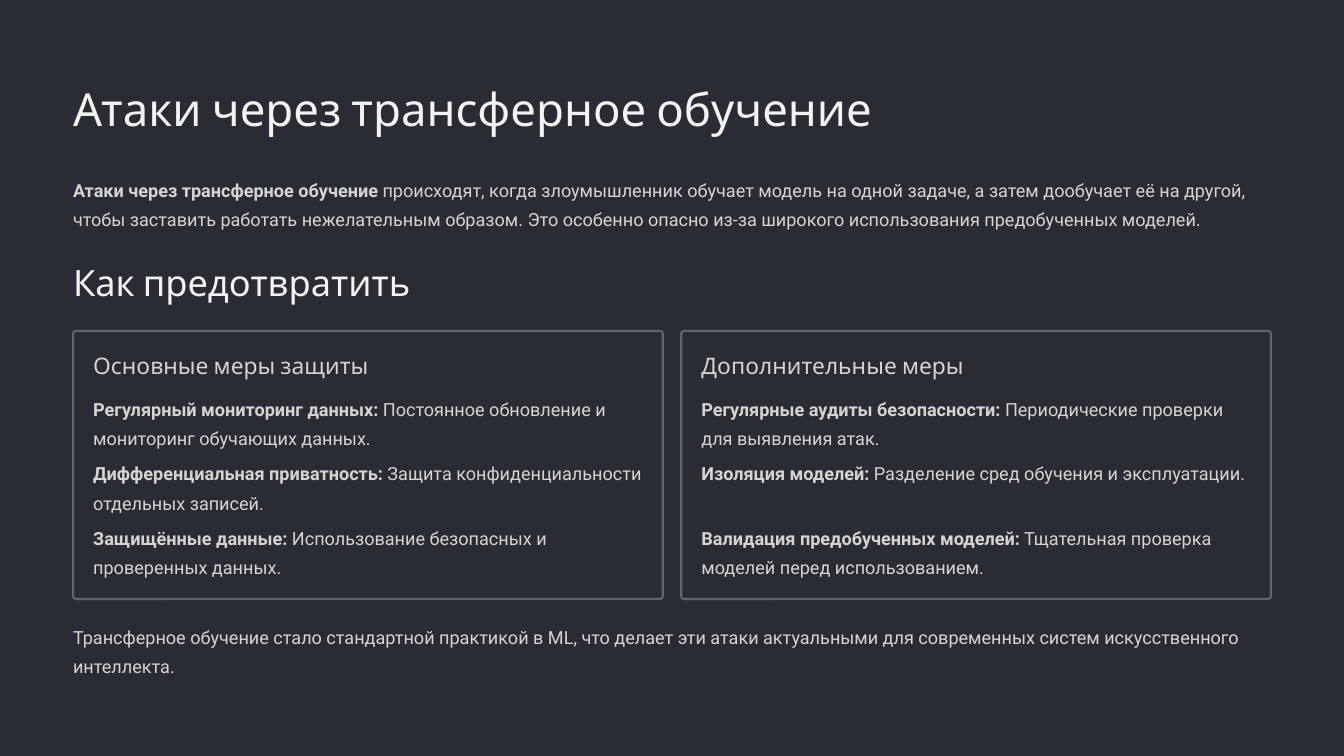
"""Build the slide about transfer learning attacks and how to prevent them."""
from dataclasses import dataclass

from pptx import Presentation
from pptx.dml.color import RGBColor
from pptx.enum.shapes import MSO_SHAPE
from pptx.enum.text import MSO_ANCHOR, MSO_AUTO_SIZE, PP_ALIGN
from pptx.shapes.autoshape import Shape
from pptx.slide import Slide
from pptx.util import Inches, Pt

BACKGROUND = RGBColor(0x29, 0x2C, 0x32)
BORDER = RGBColor(0x61, 0x64, 0x6A)
HEADING = RGBColor(0xF3, 0xF3, 0xF2)
BODY = RGBColor(0xD4, 0xD4, 0xD1)

MARGIN = 0.87
CONTENT_WIDTH = 14.26
LINE_HEIGHT = 0.69
CARD_TOP, CARD_WIDTH, CARD_HEIGHT = 3.94, 7.02, 3.19
CARD_STEP = 7.24
CARD_PADDING = 0.24
MEASURE_TOP, MEASURE_STEP = 4.65, 0.77


@dataclass(frozen=True)
class TextStyle:
    font: str
    size: float
    spacing: float
    color: RGBColor
    wrap: bool = False


@dataclass(frozen=True)
class Passage:
    lead: str
    rest: str


@dataclass(frozen=True)
class Card:
    title: str
    title_width: float
    measures: tuple[Passage, ...]


TITLE_STYLE = TextStyle("Cabin", 39, 48.5, HEADING, wrap=True)
SECTION_STYLE = TextStyle("Cabin", 31, 39, HEADING)
CARD_STYLE = TextStyle("Cabin", 19.5, 24, BODY)
BODY_STYLE = TextStyle("Roboto", 15.5, 25, BODY, wrap=True)

TITLE = "Атаки через трансферное обучение"
INTRO = Passage(
    TITLE,
    " происходят, когда злоумышленник обучает модель на одной задаче, а затем "
    "дообучает её на другой, чтобы заставить работать нежелательным образом. "
    "Это особенно опасно из-за широкого использования предобученных моделей.",
)
SECTION = "Как предотвратить"
CARDS = (
    Card("Основные меры защиты", 3.17, (
        Passage("Регулярный мониторинг данных:",
                " Постоянное обновление и мониторинг обучающих данных."),
        Passage("Дифференциальная приватность:",
                " Защита конфиденциальности отдельных записей."),
        Passage("Защищённые данные:",
                " Использование безопасных и проверенных данных."),
    )),
    Card("Дополнительные меры", 3.02, (
        Passage("Регулярные аудиты безопасности:",
                " Периодические проверки для выявления атак."),
        Passage("Изоляция моделей:",
                " Разделение сред обучения и эксплуатации."),
        Passage("Валидация предобученных моделей:",
                " Тщательная проверка моделей перед использованием."),
    )),
)
CLOSING = (
    "Трансферное обучение стало стандартной практикой в ML, что делает эти атаки "
    "актуальными для современных систем искусственного интеллекта."
)


def fill_text(box: Shape, content: str | Passage, style: TextStyle) -> None:
    """Write a plain text or a passage with a bold lead into a box."""
    frame = box.text_frame
    frame.margin_left = frame.margin_right = 0
    frame.margin_top = frame.margin_bottom = 0
    frame.vertical_anchor = MSO_ANCHOR.TOP
    frame.auto_size = MSO_AUTO_SIZE.NONE
    frame.word_wrap = style.wrap
    para = frame.paragraphs[0]
    if isinstance(content, Passage):
        para.text = content.lead
        para.runs[0].font.bold = True
        para.add_run().text = content.rest
    else:
        para.text = content
    para.alignment = PP_ALIGN.LEFT
    para.line_spacing = Pt(style.spacing)
    for run in para.runs:
        run.font.name = style.font
        run.font.size = Pt(style.size)
        run.font.color.rgb = style.color


def add_text(page: Slide, left: float, top: float, width: float, height: float,
             content: str | Passage, style: TextStyle) -> None:
    """Add a text box at a place given in inches."""
    box = page.shapes.add_textbox(
        Inches(left), Inches(top), Inches(width), Inches(height))
    fill_text(box, content, style)


def add_title(page: Slide) -> None:
    """Place and format the title placeholder."""
    title = page.shapes.title
    title.left, title.top = Inches(MARGIN), Inches(0.94)
    title.width, title.height = Inches(9.8), Inches(0.68)
    fill_text(title, TITLE, TITLE_STYLE)


def add_card(page: Slide, left: float, card: Card) -> None:
    """Draw a framed card with its heading and measures."""
    frame = page.shapes.add_shape(
        MSO_SHAPE.ROUNDED_RECTANGLE, Inches(left), Inches(CARD_TOP),
        Inches(CARD_WIDTH), Inches(CARD_HEIGHT))
    frame.adjustments[0] = 0.01
    frame.shadow.inherit = False
    frame.fill.solid()
    frame.fill.fore_color.rgb = BACKGROUND
    frame.line.color.rgb = BORDER
    frame.line.width = Pt(1.8)
    inner_left = left + CARD_PADDING
    add_text(page, inner_left, CARD_TOP + CARD_PADDING, card.title_width, 0.34,
             card.title, CARD_STYLE)
    for index, measure in enumerate(card.measures):
        add_text(page, inner_left, MEASURE_TOP + index * MEASURE_STEP,
                 CARD_WIDTH - 2 * CARD_PADDING, LINE_HEIGHT, measure, BODY_STYLE)


def main() -> None:
    """Build and save the deck."""
    deck = Presentation()
    deck.slide_width, deck.slide_height = Inches(16), Inches(9)
    page = deck.slides.add_slide(deck.slide_layouts[5])
    page.background.fill.solid()
    page.background.fill.fore_color.rgb = BACKGROUND
    add_title(page)
    add_text(page, MARGIN, 2.05, CONTENT_WIDTH, LINE_HEIGHT, INTRO, BODY_STYLE)
    add_text(page, MARGIN, 3.07, 4.34, 0.54, SECTION, SECTION_STYLE)
    for index, card in enumerate(CARDS):
        add_card(page, MARGIN + index * CARD_STEP, card)
    add_text(page, MARGIN, 7.37, CONTENT_WIDTH, LINE_HEIGHT, CLOSING, BODY_STYLE)
    deck.save("out.pptx")


if __name__ == "__main__":
    main()
